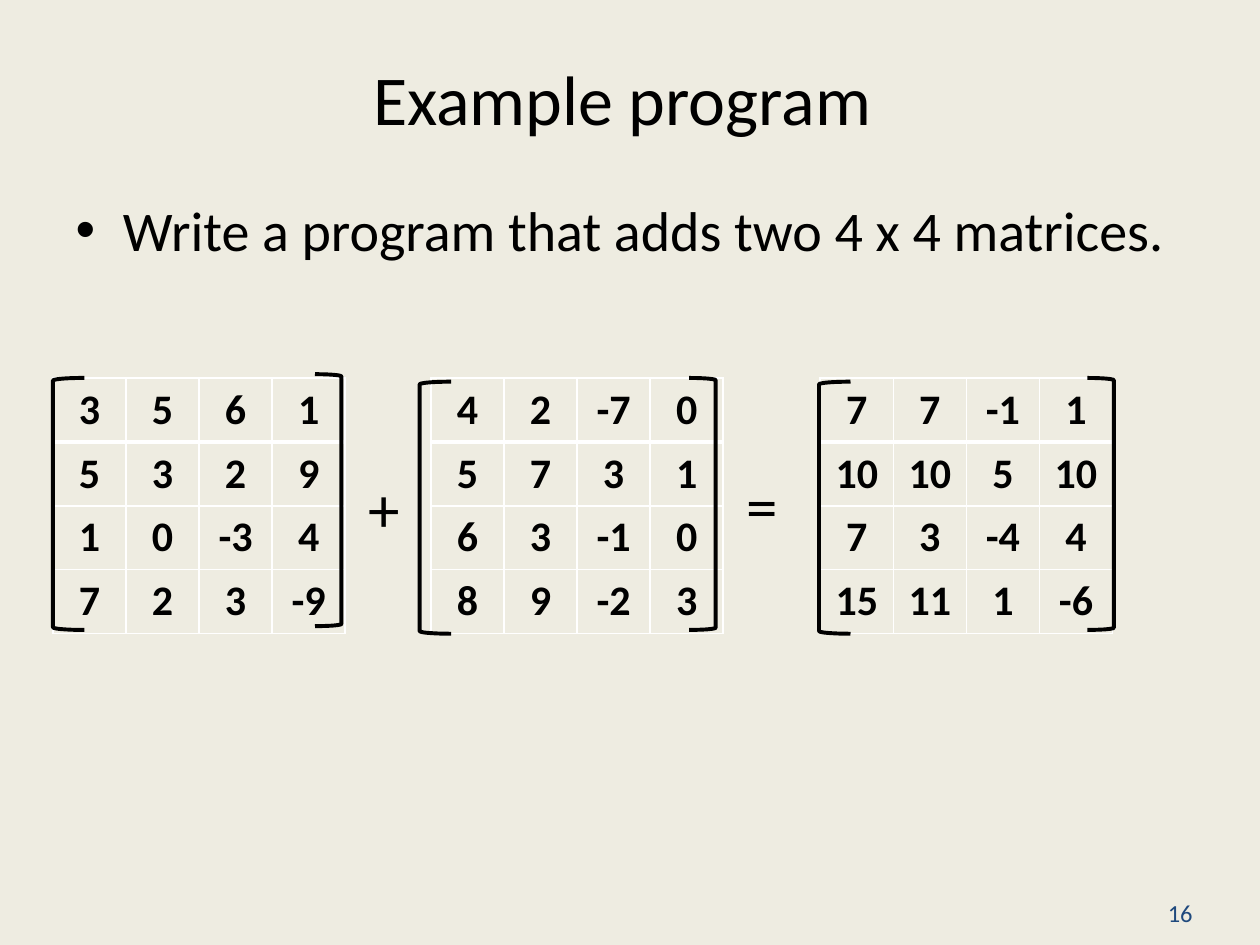
from lxml.etree import SubElement
from pptx import Presentation
from pptx.dml.color import RGBColor
from pptx.enum.shapes import MSO_SHAPE
from pptx.enum.text import MSO_ANCHOR, MSO_AUTO_SIZE, PP_ALIGN
from pptx.oxml.ns import qn
from pptx.util import Inches, Pt

# Content
TITLE = "Example program "
TASK = "Write a program that adds two 4 x 4 matrices."
PAGE = "16"
TOP, HEIGHT, COL_W, ROW_H = 3, 2, 0.58, 0.5
MATRICES = [
    {"left": 0.42, "open": (0.42, 3), "close": (2.5, 2.97),
     "rows": [(3, 5, 6, 1), (5, 3, 2, 9), (1, 0, -3, 4), (7, 2, 3, -9)]},
    {"left": 3.42, "open": (3.33, 3.03), "close": (5.47, 3),
     "rows": [(4, 2, -7, 0), (5, 7, 3, 1), (6, 3, -1, 0), (8, 9, -2, 3)]},
    {"left": 6.51, "open": (6.5, 3.03), "close": (8.63, 3),
     "rows": [(7, 7, -1, 1), (10, 10, 5, 10), (7, 3, -4, 4), (15, 11, 1, -6)]},
]
OPERATORS = [("+", 2.83, 3.78), ("=", 5.83, 3.75)]
BRACKETS = {"open": (MSO_SHAPE.LEFT_BRACKET, 0.25),
            "close": (MSO_SHAPE.RIGHT_BRACKET, 0.21)}
COLORS = {"background": "EEECE1", "text": "000000", "grid": "FFFFFF", "page": "1F497D"}


def rgb(name):
    return RGBColor.from_string(COLORS[name])


def write(tf, text, size, color="text", bold=False, align=PP_ALIGN.LEFT):
    p = tf.paragraphs[0]
    p.alignment = align
    r = p.add_run()
    r.text = text
    r.font.name, r.font.size, r.font.bold = "Calibri", Pt(size), bold
    r.font.color.rgb = rgb(color)


def place(sp, left, top, width, height):
    sp.left, sp.top, sp.width, sp.height = map(Inches, (left, top, width, height))


def add_label(slide, text, box, size, **fmt):
    tf = slide.shapes.add_textbox(*map(Inches, box)).text_frame
    tf.word_wrap = True
    tf.vertical_anchor = MSO_ANCHOR.MIDDLE
    write(tf, text, size, **fmt)


def set_borders(cell, widths):
    tc_pr = cell._tc.get_or_add_tcPr()
    for i, (side, width) in enumerate(widths.items()):
        ln = SubElement(tc_pr, qn(f"a:ln{side}"), w=str(Pt(width)))
        fill = SubElement(ln, qn("a:solidFill"))
        SubElement(fill, qn("a:srgbClr"), val=COLORS["grid"])
        tc_pr.insert(i, ln)


def add_matrix(slide, left, rows):
    n = len(rows)
    table = slide.shapes.add_table(n, n, Inches(left), Inches(TOP),
                                   Inches(n * COL_W), Inches(n * ROW_H)).table
    table.first_row = table.horz_banding = False
    for col in table.columns:
        col.width = Inches(COL_W)
    for i, values in enumerate(rows):
        table.rows[i].height = Inches(ROW_H)
        for j, value in enumerate(values):
            cell = table.cell(i, j)
            cell.fill.background()
            write(cell.text_frame, str(value), 24, bold=True, align=PP_ALIGN.CENTER)
            # The first row is closed by a heavier rule
            set_borders(cell, {"L": 1, "R": 1, "T": 3 if i == 1 else 1,
                               "B": 3 if i == 0 else 1})


def add_bracket(slide, kind, left, top):
    shape, width = BRACKETS[kind]
    sp = slide.shapes.add_shape(shape, *map(Inches, (left, top, width, HEIGHT)))
    sp.shadow.inherit = False
    sp.fill.background()
    sp.line.color.rgb = rgb("text")
    sp.line.width = Pt(2.25)


def main():
    prs = Presentation()
    prs.slide_width, prs.slide_height = Inches(10), Inches(7.5)
    slide = prs.slides.add_slide(prs.slide_layouts[1])
    slide.background.fill.solid()
    slide.background.fill.fore_color.rgb = rgb("background")

    # Title and task
    title, body = slide.shapes.title, slide.placeholders[1]
    place(title, 0.5, 0.38, 9, 0.78)
    place(body, 0.5, 1.5, 9, 0.83)
    for sp in (title, body):
        sp.text_frame.auto_size = MSO_AUTO_SIZE.NONE
    write(title.text_frame, TITLE, 40, align=PP_ALIGN.CENTER)
    write(body.text_frame, TASK, 32)

    # Matrices, brackets and operators
    for matrix in MATRICES:
        add_matrix(slide, matrix["left"], matrix["rows"])
        for kind in BRACKETS:
            add_bracket(slide, kind, *matrix[kind])
    for sign, left, top in OPERATORS:
        add_label(slide, sign, (left, top, 0.42, 0.5), 36, align=PP_ALIGN.CENTER)

    # Page number
    add_label(slide, PAGE, (9.17, 7.08, 0.67, 0.33), 14, color="page")
    prs.save("out.pptx")


if __name__ == "__main__":
    main()
